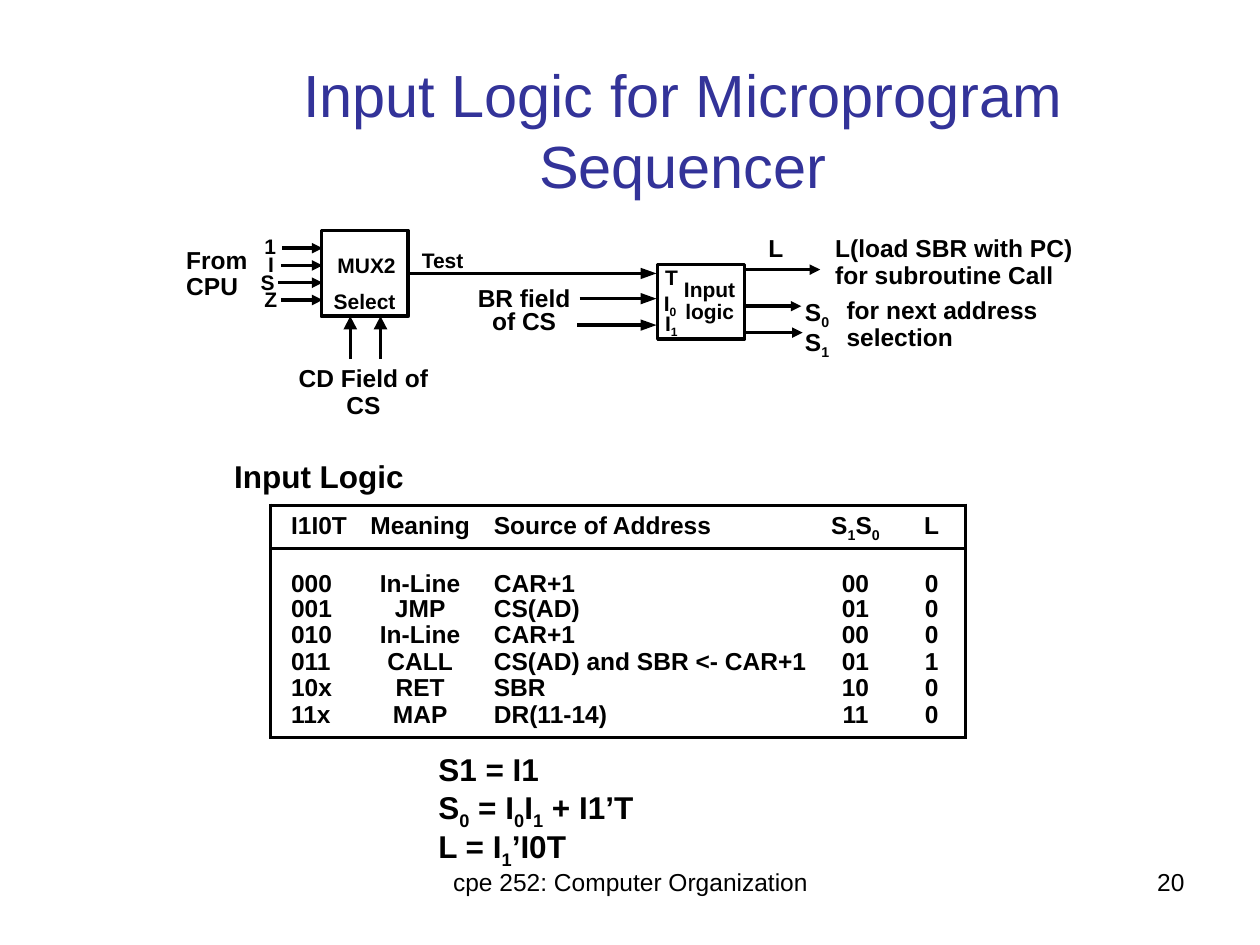
from lxml import etree
from pptx import Presentation
from pptx import util as u
from pptx.dml import color as dml
from pptx.enum import shapes, text
from pptx.oxml import ns

COLUMNS, ROWS = 100, 75
UNIT = u.Inches(10) // COLUMNS
BLACK, INDIGO = "000000", "333399"
LEFT, CENTER, RIGHT = text.PP_ALIGN.LEFT, text.PP_ALIGN.CENTER, text.PP_ALIGN.RIGHT


def color(value):
    return dml.RGBColor.from_string(value)


def grid(*values):
    return [u.Emu(round(value * UNIT)) for value in values]


def inside(box, x, y):
    return box[0] + x, box[1] + y


def apply_format(target, values):
    for name, value in values.items():
        setattr(target, name, value)


def add_child(parent, tag, **attributes):
    return etree.SubElement(parent, ns.qn(tag), attributes)


def write(frame, content, size, bold=True, align=LEFT, spacing=0.9, ink=BLACK):
    for index, line in enumerate(content.split("\n")):
        paragraph = frame.add_paragraph() if index else frame.paragraphs[0]
        apply_format(paragraph, {"alignment": align, "line_spacing": spacing})
        first, *rest = line.split("_")
        pieces = [(first, False)]
        for part in rest:
            pieces += [(part[0], True), (part[1:], False)]
        for piece, lowered in pieces:
            if not piece:
                continue
            run = paragraph.add_run()
            run.text = piece
            apply_format(run.font, {"name": "Arial", "size": u.Pt(size), "bold": bold})
            run.font.color.rgb = color(ink)
            if lowered:
                run.font._element.set("baseline", "-25000")


def add_label(slide, box, content, size, wrap=False, anchor=text.MSO_ANCHOR.TOP, **style):
    frame = slide.shapes.add_textbox(*grid(*box)).text_frame
    fit = text.MSO_AUTO_SIZE.NONE if wrap else text.MSO_AUTO_SIZE.SHAPE_TO_FIT_TEXT
    apply_format(frame, {"word_wrap": wrap, "auto_size": fit, "vertical_anchor": anchor})
    write(frame, content, size, **style)


def add_labels(slide, box, labels):
    for (x, y, width, height), content, size, style in labels:
        add_label(slide, (*inside(box, x, y), width, height), content, size, **style)


def add_block(slide, box):
    block = slide.shapes.add_shape(shapes.MSO_SHAPE.RECTANGLE, *grid(*box))
    block.shadow.inherit = False
    block.fill.background()
    block.line.color.rgb = color(BLACK)
    block.line.width = u.Pt(2)
    return block


def add_line(slide, start, end, arrow=False):
    line = slide.shapes.add_connector(shapes.MSO_CONNECTOR.STRAIGHT, *grid(*start, *end))
    line.line.color.rgb = color(BLACK)
    line.line.width = u.Pt(2)
    if arrow:
        add_child(line.line._get_or_add_ln(), "a:tailEnd", type="triangle")
    add_child(line._element.spPr, "a:effectLst")
    return line


def add_head(slide, tip, first, second):
    builder = slide.shapes.build_freeform(*grid(*tip))
    builder.add_line_segments([grid(*first), grid(*second)], close=True)
    head = builder.convert_to_shape()
    head.shadow.inherit = False
    head.fill.solid()
    head.fill.fore_color.rgb = color(BLACK)
    head.line.fill.background()


def draw_multiplexer(slide, box):
    block = add_block(slide, box)
    add_labels(slide, box, [
        ((0.3, 1.5, 6.6, 2.8), "MUX2", 12, {}),
        ((0, 4.3, 6.9, 2.8), "Select", 12, {}),
        ((-4.4, 10.3, 15.5, 3.1), "CD Field of CS", 14, {"align": CENTER}),
        ((-11.7, 0.9, 7.4, 5.2), "From\nCPU", 14, {}),
    ])
    inputs = [("1", -5.5, 2.9, -3.1), ("I", -5.2, 2.4, -3.2),
              ("S", -5.8, 3.1, -3.4), ("Z", -5.5, 3, -3.2)]
    for index, (name, x, width, start) in enumerate(inputs):
        add_label(slide, (*inside(box, x, 1.4 * index), width, 2.8), name, 12)
        y = 1.4 + 1.37 * index
        add_line(slide, inside(box, start, y), inside(box, 0.1, y), arrow=True)
    for x in (2.3, 4.7):
        add_line(slide, inside(box, x, 10.2), inside(box, x, 7.6))
        add_head(slide, inside(box, x, 6.8), inside(box, x - 0.55, 7.85),
                 inside(box, x + 0.55, 7.85))
    return block


def draw_input_logic(slide, box, multiplexer):
    add_block(slide, box)
    add_labels(slide, box, [
        ((1.1, 0.7, 6.1, 2.8), "Input", 12, {}),
        ((1.2, 2.4, 5.9, 2.8), "logic", 12, {}),
        ((-0.4, -0.3, 3, 2.8), "T", 12, {}),
        ((-0.5, 1.6, 3, 3), "I_0", 12, {}),
        ((-0.4, 3.2, 3.1, 3), "I_1", 12, {}),
        ((-19.7, -1.6, 5.4, 2.8), "Test", 12, {}),
        ((-15.3, 1.4, 9.4, 4.7), "BR field\nof CS", 14, {"align": CENTER, "spacing": 0.8}),
        ((7.8, -2.7, 3.2, 3.1), "L", 14, {}),
        ((13.1, -2.7, 22.2, 5.2), "L(load SBR with PC) for subroutine Call", 14, {"wrap": True}),
        ((10.7, 2.1, 3.9, 5.8), "S_0\nS_1", 14, {}),
        ((14, 2.2, 17.2, 5.2), "for next address\nselection", 14, {}),
    ])
    for start, y in ((-19.8, 0.7), (-6.2, 2.7), (-6.4, 4.8)):
        line = add_line(slide, inside(box, start, y), inside(box, -1, y))
        if y == 0.7:
            line.begin_connect(multiplexer, 3)
        add_head(slide, inside(box, -0.1, y), inside(box, -1.35, y - 0.45),
                 inside(box, -1.35, y + 0.45))
    for end, y in ((12.9, 0.4), (11.4, 3.3), (11.5, 5.4)):
        add_line(slide, inside(box, box[2], y), inside(box, end, y), arrow=True)


def set_borders(cell, visible):
    properties = cell._tc.get_or_add_tcPr()
    for side in "LRTB":
        border = add_child(properties, f"a:ln{side}", w=str(u.Pt(2)))
        if side in visible:
            add_child(add_child(border, "a:solidFill"), "a:srgbClr", val=BLACK)
        else:
            add_child(border, "a:noFill")


def draw_truth_table(slide, box):
    rows = [
        ("I1I0T", "Meaning", "Source of Address", "S_1S_0", "L"),
        ("000", "In-Line", "CAR+1", "00", "0"),
        ("001", "JMP", "CS(AD)", "01", "0"),
        ("010", "In-Line", "CAR+1", "00", "0"),
        ("011", "CALL", "CS(AD) and SBR <- CAR+1", "01", "1"),
        ("10x", "RET", "SBR", "10", "0"),
        ("11x", "MAP", "DR(11-14)", "11", "0"),
    ]
    widths = (7.1, 9.5, 26.4, 6.8, 5.3)
    heights = (3.4, 3.9, 2.1, 2.1, 2.1, 2.1, 2.7)
    margins = (1.6, 0, 1.1, 0, 0)
    anchors = {0: text.MSO_ANCHOR.MIDDLE, 1: text.MSO_ANCHOR.BOTTOM}
    table = slide.shapes.add_table(len(rows), len(widths), *grid(*box)).table
    apply_format(table, {"first_row": False, "horz_banding": False})
    for column, width in zip(table.columns, grid(*widths)):
        column.width = width
    for row, height in zip(table.rows, grid(*heights)):
        row.height = height
    for i, values in enumerate(rows):
        for j, value in enumerate(values):
            cell = table.cell(i, j)
            edges = {"L": j == 0, "R": j == len(widths) - 1, "T": i < 2,
                     "B": i in (0, len(rows) - 1)}
            set_borders(cell, [side for side, shown in edges.items() if shown])
            cell.fill.background()
            apply_format(cell, {"margin_left": grid(margins[j])[0], "margin_right": 0,
                                "margin_top": 0, "margin_bottom": 0,
                                "vertical_anchor": anchors.get(i, text.MSO_ANCHOR.TOP)})
            write(cell.text_frame, value, 14, align=LEFT if margins[j] else CENTER)


def draw_title(slide, box):
    add_label(slide, box, "Input Logic for Microprogram Sequencer", 34, wrap=True, bold=False,
              align=CENTER, spacing=1, ink=INDIGO, anchor=text.MSO_ANCHOR.MIDDLE)


def draw_footer(slide, box):
    plain = {"wrap": True, "bold": False, "spacing": 1}
    add_labels(slide, box, [
        ((0, 0, 31.7, 5.2), "cpe 252: Computer Organization", 14, {**plain, "align": CENTER}),
        ((box[2] - 23.3, 0, 23.3, 5.2), "20", 14, {**plain, "align": RIGHT}),
    ])


def main():
    presentation = Presentation()
    presentation.slide_width, presentation.slide_height = grid(COLUMNS, ROWS)
    slide = presentation.slides.add_slide(presentation.slide_layouts[6])
    draw_title(slide, (11.7, 5.8, 85, 8.9))
    multiplexer = draw_multiplexer(slide, (25.5, 18.3, 6.9, 6.8))
    draw_input_logic(slide, (52.2, 21, 6.9, 5.9), multiplexer)
    add_label(slide, (17.6, 36.1, 15.5, 3.7), "Input Logic", 18)
    draw_truth_table(slide, (21.5, 40.1, 55.1, 18.4))
    add_label(slide, (33.8, 59.4, 17.5, 9.8), "S1 = I1\nS_0 = I_0I_1 + I1’T\nL = I_1’I0T", 18)
    draw_footer(slide, (34.2, 68.3, 60.8, 5.2))
    presentation.save("out.pptx")


if __name__ == "__main__":
    main()
